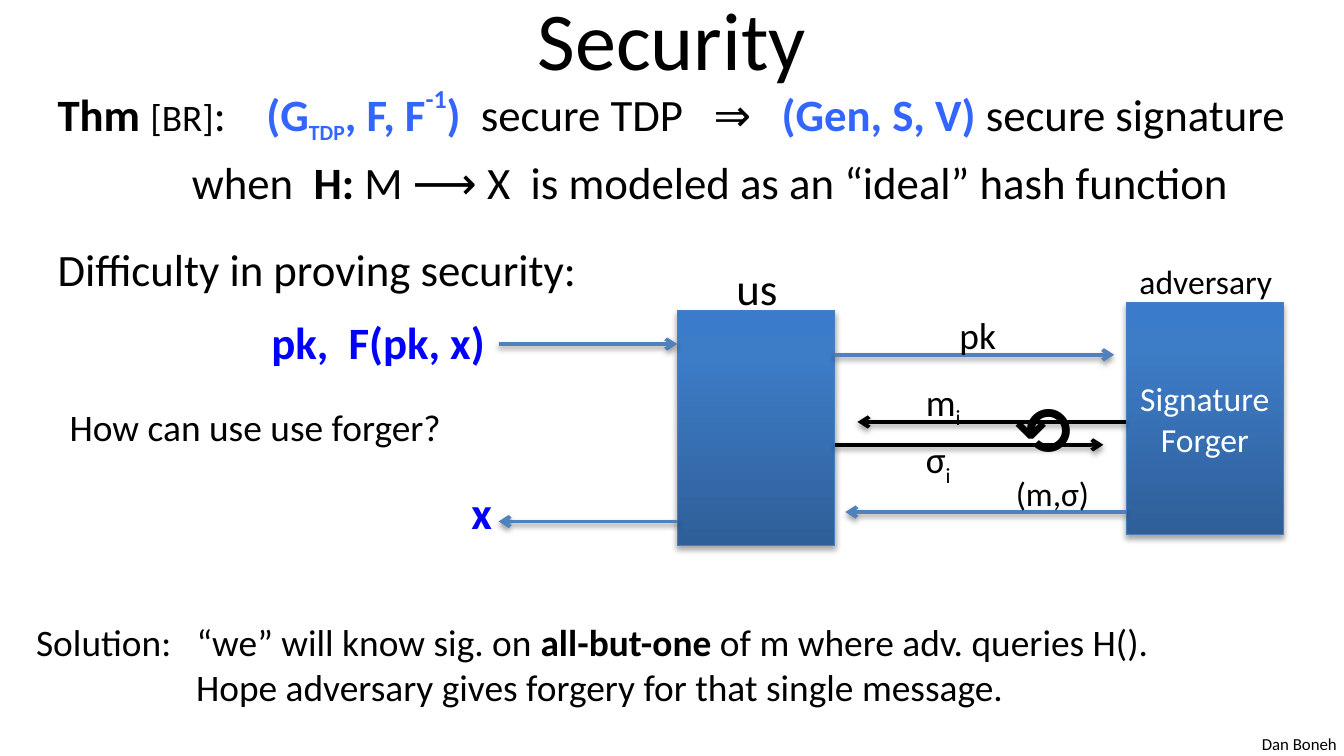
from pptx import Presentation
from pptx.dml.color import RGBColor
from pptx.enum.shapes import MSO_CONNECTOR as CONNECTOR, MSO_SHAPE as SHAPE
from pptx.enum.text import MSO_ANCHOR as ANCHOR, MSO_AUTO_SIZE as AUTO_SIZE, PP_ALIGN as ALIGN
from pptx.oxml import parse_xml
from pptx.oxml.ns import nsdecls
from pptx.util import Inches, Pt

COLORS = {
    "black": "000000", "white": "FFFFFF", "blue": "0000FF", "formula": "3366FF",
    "arrow": "4F81BD", "edge": "4B7EBC",
    "box_low": "2F5F99", "box_mid": "3D7CC7", "box_top": "3A7CCB",
}


def add_runs(paragraph, runs, size, color="black", tab=None):
    """Each run is (text, options); options: size, color, bold, base."""
    if tab:
        paragraph._p.get_or_add_pPr().append(parse_xml(
            f'<a:tabLst {nsdecls("a")}><a:tab pos="{Inches(tab)}" algn="l"/></a:tabLst>'))
    for text, options in runs:
        for index, line in enumerate(text.split("\n")):
            if index:
                paragraph.add_line_break()
            run = paragraph.add_run()
            run.text = line
            run.font.name = "Calibri"
            run.font.size = Pt(options.get("size", size))
            run.font.bold = options.get("bold", False)
            run.font.color.rgb = RGBColor.from_string(COLORS[options.get("color", color)])
            if "base" in options:
                run.font._element.set("baseline", str(options["base"] * 1000))


def add_shadow(shape, distance, alpha):
    shape._element.spPr.append(parse_xml(
        f'<a:effectLst {nsdecls("a")}><a:outerShdw blurRad="{Pt(3.1)}" dist="{Pt(distance)}" '
        f'dir="5400000" rotWithShape="0"><a:srgbClr val="{COLORS["black"]}">'
        f'<a:alpha val="{alpha * 1000}"/></a:srgbClr></a:outerShdw></a:effectLst>'))


# A 16:9 slide
presentation = Presentation()
presentation.slide_width = Inches(10)
presentation.slide_height = Inches(10) * 9 // 16
slide = presentation.slides.add_slide(presentation.slide_layouts[6])

# Title
title = slide.shapes.add_textbox(Inches(0.5), Inches(-0.19), Inches(9), Inches(0.94))
title.text_frame.word_wrap = True
title.text_frame.vertical_anchor = ANCHOR.MIDDLE
title.text_frame.paragraphs[0].alignment = ALIGN.CENTER
add_runs(title.text_frame.paragraphs[0], [("Security", {})], 44)

# Theorem
formula = {"color": "formula", "bold": True}
theorem = slide.shapes.add_textbox(Inches(0.33), Inches(0.56), Inches(9.5), Inches(1.75))
theorem.text_frame.word_wrap = True
paragraph = theorem.text_frame.paragraphs[0]
add_runs(paragraph, [
    ("Thm ", {"bold": True}),
    ("[BR]", {"size": 20}),
    (":    ", {}),
    ("(G", formula),
    ("TDP", {**formula, "size": 20, "base": -25}),
    (", F, F", formula),
    ("-1", {**formula, "base": 50}),
    (")  ", formula),
    ("secure TDP   ⇒   ", {}),
    ("(Gen, S, V) ", formula),
    ("secure signature\n\twhen  ", {}),
    ("H: ", {"bold": True}),
    ("M ⟶ X  is modeled as an “ideal” hash function", {}),
], 24, tab=1)
paragraph.line_spacing = Pt(33.8)
paragraph = theorem.text_frame.add_paragraph()
paragraph.space_before = Pt(17.8)
add_runs(paragraph, [("Difficulty in proving security:", {})], 24)

# Boxes of the two parties
for left, top, height, caption in [
    (8.38, 2.25, 1.73, "Signature\nForger"),
    (5.04, 2.31, 1.75, ""),
]:
    box = slide.shapes.add_shape(SHAPE.RECTANGLE, Inches(left), Inches(top),
                                 Inches(1.17), Inches(height))
    stops = "".join(
        f'<a:gs pos="{position * 1000}"><a:srgbClr val="{COLORS[name]}"/></a:gs>'
        for position, name in [(0, "box_low"), (80, "box_mid"), (100, "box_top")])
    box._element.spPr.prstGeom.addnext(parse_xml(
        f'<a:gradFill {nsdecls("a")} rotWithShape="1"><a:gsLst>{stops}</a:gsLst>'
        '<a:lin ang="16200000" scaled="0"/></a:gradFill>'))
    box.line.color.rgb = RGBColor.from_string(COLORS["edge"])
    box.line.width = Pt(0.75)
    add_shadow(box, 1.8, 35)
    if caption:
        box.text_frame.word_wrap = True
        box.text_frame.vertical_anchor = ANCHOR.MIDDLE
        box.text_frame.paragraphs[0].alignment = ALIGN.CENTER
        add_runs(box.text_frame.paragraphs[0], [(caption, {})], 18, "white")

# Messages: start x, end x, y, colour
for start, end, y, color in [
    (3.71, 5.04, 2.56, "arrow"),
    (5.04, 3.71, 3.88, "arrow"),
    (6.21, 8.29, 2.64, "arrow"),
    (8.38, 6.38, 3.14, "black"),
    (6.21, 8.21, 3.31, "black"),
    (8.38, 6.29, 3.81, "arrow"),
]:
    arrow = slide.shapes.add_connector(CONNECTOR.STRAIGHT, Inches(start), Inches(y),
                                       Inches(end), Inches(y))
    arrow.line.color.rgb = RGBColor.from_string(COLORS[color])
    arrow.line.width = Pt(2)
    arrow.line._get_or_add_ln().append(
        parse_xml(f'<a:tailEnd {nsdecls("a")} type="arrow"/>'))
    add_shadow(arrow, 1.6, 38)

# Labels, question, solution and footer
bold = {"bold": True}
subscript = {"base": -25}
for left, top, width, height, size, color, tab, runs in [
    (8.38, 1.89, 1.21, 0.53, 18, "black", None, [("adversary", {})]),
    (5.38, 1.89, 0.51, 0.5, 24, "black", None, [("us", {})]),
    (1.92, 2.29, 1.81, 0.5, 24, "blue", None, [("pk,  F(pk, x)", bold)]),
    (3.41, 3.56, 0.36, 0.5, 24, "blue", None, [("x", bold)]),
    (7.04, 2.27, 0.48, 0.44, 20, "black", None, [("pk", {})]),
    (6.79, 2.77, 0.47, 0.44, 20, "black", None, [("m", {}), ("i", subscript)]),
    (6.79, 3.2, 0.39, 0.44, 20, "black", None, [("σ", {}), ("i", subscript)]),
    (7.46, 2.84, 0.68, 0.71, 36, "black", None, [("⟲", bold)]),
    (7.46, 3.47, 0.75, 0.4, 18, "black", None, [("(m,σ)", {})]),
    (0.42, 2.96, 3, 0.44, 20, "black", None, [("How can use use forger?", {})]),
    (0.17, 4.56, 8.58, 0.77, 20, "black", 1.19, [
        ("Solution:   “we” will know sig. on ", {}),
        ("all-but-one ", bold),
        ("of m where adv. queries H().\n"
         "\tHope adversary gives forgery for that single message.", {})]),
    (9.29, 5.41, 0.76, 0.25, 9, "black", None, [("Dan Boneh", {})]),
]:
    label = slide.shapes.add_textbox(Inches(left), Inches(top), Inches(width), Inches(height))
    label.text_frame.word_wrap = False
    label.text_frame.auto_size = AUTO_SIZE.SHAPE_TO_FIT_TEXT
    add_runs(label.text_frame.paragraphs[0], runs, size, color, tab)

presentation.save("out.pptx")
